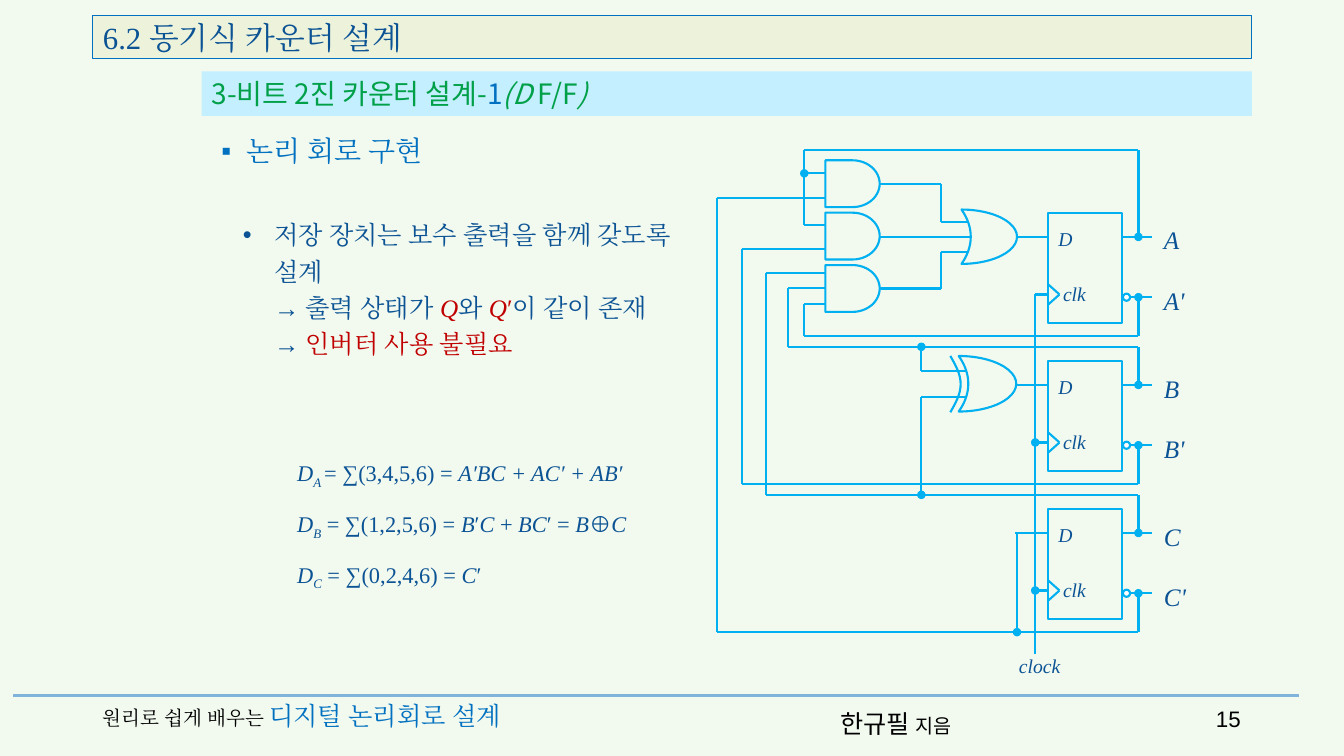
"""Build the slide on the logic circuit of a 3-bit binary counter with D flip-flops."""
from dataclasses import dataclass
from itertools import pairwise
from math import pi, sin

from lxml.etree import SubElement
from pptx import Presentation
from pptx.dml.color import RGBColor
from pptx.enum.shapes import MSO_CONNECTOR, MSO_SHAPE
from pptx.enum.text import MSO_ANCHOR, MSO_AUTO_SIZE, PP_ALIGN
from pptx.oxml.ns import qn
from pptx.util import Cm, Pt


@dataclass(frozen=True)
class Theme:
    background: str = "F2F9EF"
    title_fill: str = "EDF3DB"
    subtitle_fill: str = "C4EFFF"
    rule: str = "80B4DA"
    wire: str = "00B0F0"
    white: str = "FFFFFF"
    black: str = "000000"
    navy: str = "0B5394"
    blue: str = "0070C0"
    green: str = "00A048"
    red: str = "C00000"
    serif: str = "Times New Roman"
    korean: str = "Noto Sans CJK KR"
    sans: str = "Arial"
    title: int = 22
    heading: int = 20
    body: int = 18
    formula: int = 16
    label: int = 14


theme = Theme()


def write(paragraph, runs, font=theme.serif):
    """Add runs given as text, size, colour, then optional italic and baseline."""
    for text, size, color, *style in runs:
        if text == "\n":
            paragraph.add_line_break()
            continue
        run = paragraph.add_run()
        run.text = text
        run.font.size = Pt(size)
        run.font.color.rgb = RGBColor.from_string(color)
        run.font.italic = "i" in style
        run.font.name = font
        properties = run.font._element
        SubElement(properties, qn("a:ea")).set("typeface", font)
        if "sub" in style:
            properties.set("baseline", "-25000")


def add_block(kind, box, fill=theme.background, line=theme.wire):
    """Add a preset shape with a plain fill and an optional outline."""
    shape = slide.shapes.add_shape(kind, *map(Cm, box))
    shape.shadow.inherit = False
    shape.fill.solid()
    shape.fill.fore_color.rgb = RGBColor.from_string(fill)
    if line:
        shape.line.color.rgb = RGBColor.from_string(line)
        shape.line.width = Pt(1.5)
    else:
        shape.line.fill.background()
    return shape


presentation = Presentation()
presentation.slide_width, presentation.slide_height = Cm(33.87), Cm(19.05)
slide = presentation.slides.add_slide(presentation.slide_layouts[5])
slide.background.fill.solid()
slide.background.fill.fore_color.rgb = RGBColor.from_string(theme.background)

title = slide.shapes.title
title.left, title.top, title.width, title.height = map(Cm, (2.34, 0.38, 29.21, 1.09))
title.fill.solid()
title.fill.fore_color.rgb = RGBColor.from_string(theme.title_fill)
title.line.color.rgb = RGBColor.from_string(theme.blue)
title.line.width = Pt(0.75)
title.text_frame.auto_size = MSO_AUTO_SIZE.NONE
title.text_frame.vertical_anchor = MSO_ANCHOR.MIDDLE
title.text_frame.paragraphs[0].alignment = PP_ALIGN.LEFT
write(title.text_frame.paragraphs[0], [("6.2 동기식 카운터 설계", theme.title, theme.navy)])

subtitle = add_block(MSO_SHAPE.RECTANGLE, (5.08, 1.8, 26.47, 1.12), theme.subtitle_fill, None)
subtitle.text_frame.paragraphs[0].alignment = PP_ALIGN.LEFT
write(subtitle.text_frame.paragraphs[0], [
    ("3-비트 2진 카운터 설계-", theme.heading, theme.green),
    ("1", theme.heading, theme.blue),
    ("(D ", theme.heading, theme.green, "i"),
    ("F/F", theme.heading, theme.green),
    (")", theme.heading, theme.green, "i"),
], theme.korean)

feedback, clock = 28.69, 26.09
flop_left, flop_right, flop_tops = 26.42, 28.27, [5.36 + 3.73 * row for row in range(3)]
gate_input, gate_output = 20.9, 22.1
wires = [
    [(feedback, 5.97), (feedback, 3.78), (20.27, 3.78), (20.27, 5.66), (gate_input, 5.66)],
    [(20.27, 4.37), (gate_input, 4.37)],
    [(feedback, 7.49), (feedback, 8.46), (20.27, 8.46), (20.27, 7.67), (gate_input, 7.67)],
    [(feedback, 9.7), (feedback, 8.74), (19.86, 8.74), (19.86, 7.26), (gate_input, 7.26)],
    [(feedback, 11.22), (feedback, 12.19), (18.69, 12.19), (18.69, 6.27), (gate_input, 6.27)],
    [(feedback, 13.43), (feedback, 12.47), (19.3, 12.47), (19.3, 6.88), (gate_input, 6.88)],
    [(feedback, 14.95), (feedback, 15.93), (18.06, 15.93), (18.06, 4.98), (gate_input, 4.98)],
    [(25.63, 15.93), (25.63, 13.43)],
    [(23.22, 8.74), (23.22, 9.35), (24.43, 9.35)],
    [(23.22, 12.47), (23.22, 10.01), (24.43, 10.01)],
    [(gate_output, 4.63), (23.72, 4.63), (23.72, 5.59), (24.46, 5.59)],
    [(gate_output, 5.97), (24.51, 5.97)],
    [(gate_output, 7.27), (23.72, 7.27), (23.72, 6.35), (24.46, 6.35)],
    [(clock, 16.48), (clock, 7.42)],
]
dots = [(20.27, 4.37), (23.22, 8.74), (23.22, 12.47), (25.63, 15.93)]
dots += [(clock, top + 2.06) for top in flop_tops[1:]]
labels = [("clock", theme.label, 25.43, 16.36, 1.7)]

for name, top in zip("ABC", flop_tops):
    add_block(MSO_SHAPE.RECTANGLE, (flop_left, top, flop_right - flop_left, 2.77))
    output, complement, clock_pin = top + 0.61, top + 2.13, top + 2.06
    wires += [
        [(flop_right, output), (29.03, output)],
        [(flop_right, complement), (29.03, complement)],
        [(25.58, output), (flop_left, output)],
        [(clock, clock_pin), (flop_left, clock_pin)],
        [(flop_left, clock_pin - 0.25), (26.7, clock_pin), (flop_left, clock_pin + 0.25)],
    ]
    dots += [(feedback, output), (feedback, complement)]
    labels += [
        ("D", theme.label, flop_left, top + 0.23, 0.9),
        ("clk", theme.label, 26.54, top + 1.63, 1.2),
        (name, theme.body, 29.08, top + 0.18, 1.2),
        (name + "'", theme.body, 29.08, top + 1.71, 1.2),
    ]

lines = [([(0.33, 17.53), (32.74, 17.53)], theme.rule, 2.5)]
lines += [(wire, theme.wire, 1.5) for wire in wires]
for points, color, width in lines:
    for start, end in pairwise(points):
        connector = slide.shapes.add_connector(MSO_CONNECTOR.STRAIGHT, *map(Cm, start + end))
        connector.line.color.rgb = RGBColor.from_string(color)
        connector.line.width = Pt(width)
        SubElement(connector._element.spPr, qn("a:effectLst"))

for row in range(3):
    add_block(MSO_SHAPE.FLOWCHART_DELAY, (20.8, 4.04 + 1.32 * row, 1.37, 1.18))
for box in ((24.23, 5.28, 1.4, 1.37), (24.16, 8.97, 1.45, 1.4)):
    gate = add_block(MSO_SHAPE.MOON, box)
    gate.adjustments[0] = 0.833
    gate.rotation = 180

arc = [(Cm(23.95 + 0.26 * sin(pi * step / 16)), Cm(8.97 + 1.42 * step / 16)) for step in range(17)]
builder = slide.shapes.build_freeform(*arc[0])
builder.add_line_segments(arc[1:], close=False)
xor_arc = builder.convert_to_shape()
xor_arc.shadow.inherit = False
xor_arc.fill.background()
xor_arc.line.color.rgb = RGBColor.from_string(theme.wire)
xor_arc.line.width = Pt(1.5)

for top in flop_tops:
    add_block(MSO_SHAPE.OVAL, (28.3, top + 2.04, 0.18, 0.18), theme.white)
for x, y in dots:
    add_block(MSO_SHAPE.OVAL, (x - 0.08, y - 0.08, 0.16, 0.16), theme.wire)
for text, size, left, top, width in labels:
    label = slide.shapes.add_textbox(Cm(left), Cm(top), Cm(width), Cm(size * 0.06))
    label.text_frame.word_wrap = True
    write(label.text_frame.paragraphs[0], [(text, size, theme.navy, "i")])

formulas = [
    [("D", "i"), ("A ", "i", "sub"), ("= ∑(3,4,5,6) = ",), ("A′BC + AC′ + AB′", "i")],
    [("D", "i"), ("B", "i", "sub"), (" = ∑(1,2,5,6) = ",), ("B", "i"), ("′",), ("C", "i"),
     (" + ",), ("BC", "i"), ("′ = ",), ("B", "i"), ("⊕",), ("C", "i")],
    [("D", "i"), ("C", "i", "sub"), (" = ∑(0,2,4,6) = ",), ("C", "i"), ("′",)],
]
formula_runs = [[(text, theme.formula, theme.navy, *style) for text, *style in formula] for formula in formulas]
explanation = [
    ("저장 장치는 보수 출력을 함께 갖도록 설계 ", theme.navy), ("\n", theme.navy),
    ("→ 출력 상태가 ", theme.navy), ("Q", theme.red, "i"), ("와 ", theme.navy),
    ("Q", theme.red, "i"), ("′", theme.red), ("이 같이 존재 ", theme.navy), ("\n", theme.navy),
    ("→ ", theme.navy), ("인버터 사용 불필요", theme.red),
]
explanation_runs = [(text, theme.body, *style) for text, *style in explanation]
texts = [
    ((4.06, 3.25, 27.48, 1.12), [[("논리 회로 구현", theme.heading, theme.blue)]], theme.serif, 1, ("▪", 1.9, 0.63)),
    ((5.87, 5.26, 11.58, 3.86), [explanation_runs], theme.serif, 1.2, ("•", 0.79, 0.79)),
    ((7.24, 11.3, 9.35, 3.63), formula_runs, theme.serif, 1.2, None),
    ((2.34, 17.53, 11.76, 1.02), [[("원리로 쉽게 배우는 ", theme.label, theme.black),
                                  ("디지털 논리회로 설계", theme.body, theme.blue)]], theme.serif, 1, None),
    ((20.93, 17.73, 3.89, 1.02), [[("한규필 ", theme.body, theme.black),
                                  ("지음", theme.label, theme.black)]], theme.korean, 1, None),
    ((29.95, 17.65, 1.57, 1.02), [[("15", theme.formula, theme.black)]], theme.sans, 1, None),
]
for box, paragraphs, font, spacing, bullet in texts:
    frame = slide.shapes.add_textbox(*map(Cm, box)).text_frame
    frame.word_wrap = True
    for index, runs in enumerate(paragraphs):
        paragraph = frame.add_paragraph() if index else frame.paragraphs[0]
        paragraph.line_spacing = spacing
        if index:
            paragraph.space_before = Pt(10)
        if font == theme.sans:
            paragraph.alignment = PP_ALIGN.RIGHT
        if bullet:
            character, margin, hanging = bullet
            properties = paragraph._p.get_or_add_pPr()
            properties.set("marL", str(Cm(margin)))
            properties.set("indent", str(-Cm(hanging)))
            SubElement(properties, qn("a:buFont")).set("typeface", theme.sans)
            SubElement(properties, qn("a:buChar")).set("char", character)
        write(paragraph, runs, font)

presentation.save("out.pptx")
